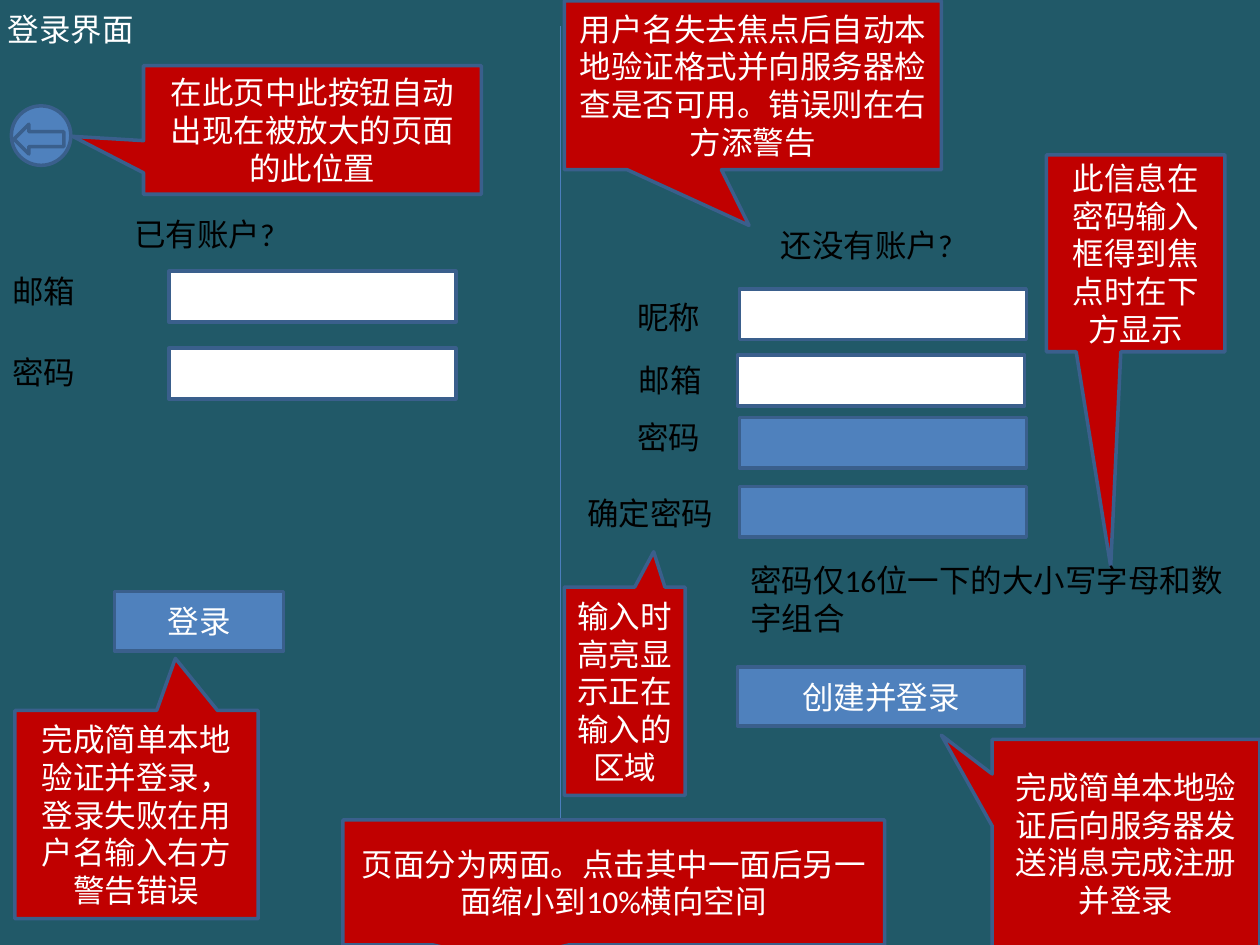
import pptx
import pptx.util
from pptx.dml.color import RGBColor
from pptx.enum.shapes import MSO_CONNECTOR, MSO_SHAPE
from pptx.enum.text import MSO_ANCHOR, PP_ALIGN
from pptx.oxml.ns import qn
from lxml import etree

Pt = pptx.util.Pt

TEAL = RGBColor(0x21, 0x59, 0x68)
BLUE = RGBColor(0x4F, 0x81, 0xBD)
EDGE = RGBColor(0x3A, 0x5F, 0x8C)
DIVIDER = RGBColor(0x4B, 0x7E, 0xBC)
RED = RGBColor(0xC0, 0x00, 0x00)
WHITE = RGBColor(0xFF, 0xFF, 0xFF)
BLACK = RGBColor(0x00, 0x00, 0x00)

FIELD_W, FIELD_H = 164, 29
BUTTON_H = 34


class Page:
    """Style and drawing methods for one slide; lengths are points."""

    font = {"name": "Calibri", "size": Pt(18)}

    def __init__(self, s):
        self.s = s
        s.background.fill.solid()
        s.background.fill.fore_color.rgb = TEAL

    def set_text(self, sp, text, color, align, anchor):
        tf = sp.text_frame
        for name, value in {"word_wrap": True, "vertical_anchor": anchor}.items():
            setattr(tf, name, value)
        p = tf.paragraphs[0]
        p.alignment = align
        r = p.add_run()
        r.text = text
        for name, value in self.font.items():
            setattr(r.font, name, value)
        r.font.color.rgb = color

    def label(self, text, x, y, w, h=29, color=BLACK,
              align=PP_ALIGN.LEFT, anchor=MSO_ANCHOR.TOP):
        sp = self.s.shapes.add_textbox(Pt(x), Pt(y), Pt(w), Pt(h))
        self.set_text(sp, text, color, align, anchor)

    def shape(self, kind, x, y, w, h, fill=BLUE, text=None):
        sp = self.s.shapes.add_shape(kind, Pt(x), Pt(y), Pt(w), Pt(h))
        sp.shadow.inherit = False
        sp.fill.solid()
        sp.fill.fore_color.rgb = fill
        sp.line.color.rgb = EDGE
        sp.line.width = Pt(2)
        if text:
            self.set_text(sp, text, WHITE, PP_ALIGN.CENTER, MSO_ANCHOR.MIDDLE)
        return sp

    def field(self, x, y, fill=WHITE):
        self.shape(MSO_SHAPE.RECTANGLE, x, y, FIELD_W, FIELD_H, fill)

    def button(self, text, x, y, w):
        self.shape(MSO_SHAPE.RECTANGLE, x, y, w, BUTTON_H, text=text)

    def callout(self, text, x, y, w, h, tail=None):
        sp = self.shape(MSO_SHAPE.RECTANGULAR_CALLOUT, x, y, w, h, RED, text)
        for i, value in enumerate(tail or ()):
            sp.adjustments[i] = value

    def line(self, x1, y1, x2, y2):
        c = self.s.shapes.add_connector(
            MSO_CONNECTOR.STRAIGHT, Pt(x1), Pt(y1), Pt(x2), Pt(y2))
        c.line.color.rgb = DIVIDER
        c.line.width = Pt(0.75)
        etree.SubElement(c._element.spPr, qn("a:effectLst"))


def main():
    prs = pptx.Presentation()
    prs.slide_width, prs.slide_height = Pt(720), Pt(540)
    page = Page(prs.slides.add_slide(prs.slide_layouts[6]))

    # Title
    page.label("登录界面", -16, 0, 113, 33, WHITE, PP_ALIGN.CENTER, MSO_ANCHOR.MIDDLE)

    # Login side
    page.label(" 已有账户?", 65.5, 119.5, 176)
    for text, label_y, field_y in [("邮箱", 152, 155), ("密码", 198, 199)]:
        page.label(text, 0, label_y, 96)
        page.field(96.5, field_y)
    page.button("登录", 65.5, 338, 96.5)

    # Sign-up side
    page.label("还没有账户?", 439, 125.5, 176)
    for text, x, label_y, field_x, field_y, fill in [
        ("昵称", 357, 166.5, 422.5, 165, WHITE),
        ("邮箱", 358, 203, 421.5, 203, WHITE),
        ("密码", 357, 235.5, 422.5, 238.5, BLUE),
        ("确定密码", 328.5, 278.5, 422.5, 278, BLUE),
    ]:
        page.label(text, x, label_y, 91.5)
        page.field(field_x, field_y, fill)
    page.button("创建并登录", 421.5, 381, FIELD_W)

    # Divider and back button
    page.line(320.5, 15, 320.5, 540)
    page.shape(MSO_SHAPE.OVAL, 6.5, 60.5, 34, 34)
    page.shape(MSO_SHAPE.LEFT_ARROW, 8, 71, 28.5, 17)

    # Notes on behaviour
    page.callout("页面分为两面。点击其中一面后另一面缩小到10%横向空间",
                 196, 468.5, 309.5, 71.5)
    page.callout("完成简单本地验证并登录，登录失败在用户名输入右方警告错误",
                 8.5, 406, 139, 119, (0.16, -0.75))
    page.callout("完成简单本地验证后向服务器发送消息完成注册并登录",
                 567, 422.5, 153, 119, (-0.69, -0.52))
    page.callout("用户名失去焦点后自动本地验证格式并向服务器检查是否可用。错误则在右方添警告",
                 322.5, 0.5, 215.5, 96.5, (-0.01, 0.83))
    page.callout("在此页中此按钮自动出现在被放大的页面的此位置",
                 82, 37.5, 193, 73.5, (-0.71, 0.05))
    page.callout("此信息在密码输入框得到焦点时在下方显示",
                 598, 88.5, 102, 112.5, (-0.14, 1.59))
    page.label("密码仅16位一下的大小写字母和数字组合", 421.5, 317, 289.5, 51)
    page.callout("输入时高亮显示正在输入的区域",
                 322.5, 335.5, 69, 119, (0.24, -0.67))

    prs.save("out.pptx")


if __name__ == "__main__":
    main()
